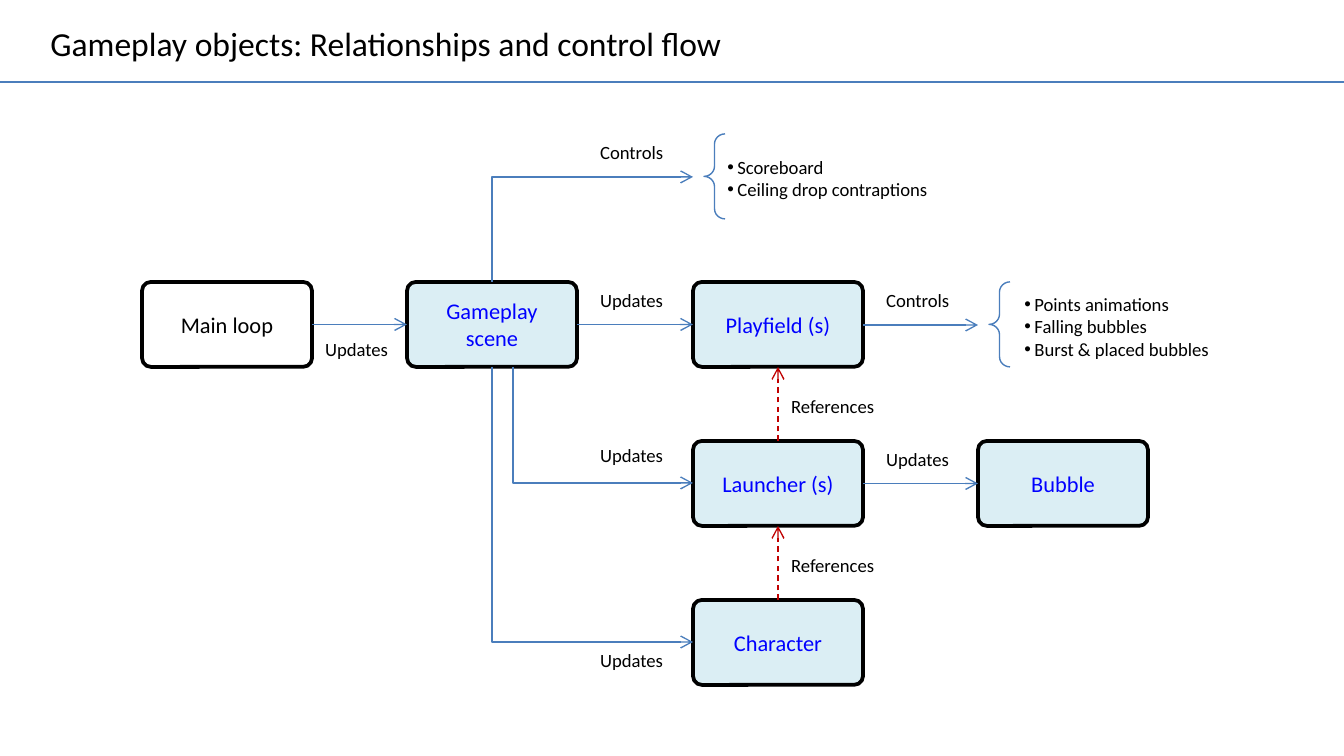
from lxml import etree
from pptx import Presentation
from pptx.dml.color import RGBColor
from pptx.enum.dml import MSO_LINE
from pptx.enum.shapes import MSO_CONNECTOR as Conn, MSO_SHAPE as Shape
from pptx.enum.text import MSO_ANCHOR as Anchor, MSO_AUTO_SIZE as Auto, PP_ALIGN as Align
from pptx.oxml.ns import qn
from pptx.util import Pt

PX = 914400 / 134.4
TOP, LEFT, BOTTOM, RIGHT = range(4)


def px(*values):
    return [round(v * PX) for v in values]


def rgb(value):
    return RGBColor.from_string(value)


class Diagram:
    font = "Calibri"
    ink, blue, red = "000000", "4B7EBC", "C00000"
    box_w, box_h = 170, 85

    def __init__(self, prs):
        self.s = prs.slides.add_slide(prs.slide_layouts[3])
        self.lists = list(self.s.placeholders)[1:]

    def style(self, tf, size, color=ink, align=Align.LEFT, anchor=Anchor.TOP):
        tf.vertical_anchor = anchor
        for p in tf.paragraphs:
            p.alignment = align
            for r in p.runs:
                r.font.name = self.font
                r.font.size = Pt(size)
                r.font.color.rgb = rgb(color)

    def place(self, sp, x, y, w, h):
        sp.left, sp.top, sp.width, sp.height = px(x, y, w, h)

    def title(self, text, *area):
        sp = self.s.shapes.title
        self.place(sp, *area)
        tf = sp.text_frame
        tf.text = text
        tf.auto_size = Auto.NONE
        self.style(tf, 18)

    def bullets(self, items, *area):
        sp = self.lists.pop(0)
        self.place(sp, *area)
        tf = sp.text_frame
        tf.text = "\n".join(items)
        tf.auto_size = Auto.NONE
        self.style(tf, 10)
        indent, = px(10)
        for p in tf.paragraphs:
            p.space_before = Pt(0)
            pPr = p._p.get_or_add_pPr()
            pPr.set("marL", str(indent))
            pPr.set("indent", str(-indent))

    def box(self, text, x, y, fill="DBEEF4", color="0000FF"):
        sp = self.s.shapes.add_shape(Shape.ROUNDED_RECTANGLE, *px(x, y, self.box_w, self.box_h))
        sp.adjustments[0] = 0.104
        sp.shadow.inherit = False
        sp.fill.solid()
        sp.fill.fore_color.rgb = rgb(fill)
        sp.line.color.rgb = rgb(self.ink)
        sp.line.width = Pt(2)
        sp.text_frame.word_wrap = True
        sp.text_frame.text = text
        self.style(sp.text_frame, 12, color, Align.CENTER, Anchor.MIDDLE)
        return sp

    def brace(self, x, y):
        sp = self.s.shapes.add_shape(Shape.LEFT_BRACE, *px(x, y, 21, self.box_h))
        sp.adjustments[0] = 0.48
        sp.shadow.inherit = False
        sp.fill.background()
        sp.line.color.rgb = rgb(self.blue)
        sp.line.width = Pt(0.75)

    def label(self, text, x, y, w=91):
        tf = self.s.shapes.add_textbox(*px(x, y, w, 36)).text_frame
        tf.word_wrap = False
        tf.auto_size = Auto.SHAPE_TO_FIT_TEXT
        tf.text = text
        self.style(tf, 10)

    def line(self, x1, y1, x2, y2, color=blue, kind=Conn.STRAIGHT, arrow=True):
        c = self.s.shapes.add_connector(kind, *px(x1, y1, x2, y2))
        c.line.color.rgb = rgb(color)
        c.line.width = Pt(0.75)
        spPr = c._element.spPr
        if arrow:
            etree.SubElement(c.line._get_or_add_ln(), qn("a:tailEnd"), type="arrow")
        etree.SubElement(spPr, qn("a:effectLst"))
        return c

    def elbow(self, *ends):
        c = self.line(*ends, kind=Conn.ELBOW)
        av = c._element.spPr.find(qn("a:prstGeom")).get_or_add_avLst()
        etree.SubElement(av, qn("a:gd"), name="adj1", fmla="val 0")

    def link(self, start, start_site, end, end_site, color=blue, dashed=False):
        c = self.line(0, 0, 1, 1, color)
        c.begin_connect(start, start_site)
        c.end_connect(end, end_site)
        if dashed:
            c.line.dash_style = MSO_LINE.DASH


prs = Presentation()
prs.slide_width, prs.slide_height = px(1344, 756)
d = Diagram(prs)

LOOP_X, SCENE_X, FIELD_X, BUBBLE_X = 142, 407, 693, 978
ROWS = [282 + 159 * i for i in range(3)]
MID = [y + 42 for y in ROWS]
BOARD_Y = 134

d.title("Gameplay objects: Relationships and control flow", 37, 16, 910, 54)
d.line(0, 82, 1344, 82, arrow=False)

loop = d.box("Main loop", LOOP_X, ROWS[0], "FFFFFF", d.ink)
scene = d.box("Gameplay scene", SCENE_X, ROWS[0])
playfield, launcher, character = [
    d.box(name, FIELD_X, y)
    for name, y in zip(("Playfield (s)", "Launcher (s)", "Character"), ROWS)]
bubble = d.box("Bubble", BUBBLE_X, ROWS[1])

for start, end in ((loop, scene), (scene, playfield), (launcher, bubble)):
    d.link(start, RIGHT, end, LEFT)
for start, end in ((launcher, playfield), (character, launcher)):
    d.link(start, TOP, end, BOTTOM, d.red, dashed=True)

scene_mid, scene_bottom = SCENE_X + 85, ROWS[0] + d.box_h
d.elbow(scene_mid, ROWS[0], FIELD_X, BOARD_Y + 43)
d.elbow(scene_mid + 21, scene_bottom, FIELD_X, MID[1])
d.elbow(scene_mid, scene_bottom, FIELD_X, MID[2])
d.line(FIELD_X + d.box_w, MID[0] + 1, BUBBLE_X, MID[0] + 1)

for x, y in ((312, 331), (587, 282), (587, 437), (587, 642), (873, 441)):
    d.label("Updates", x, y)
for x, y in ((587, BOARD_Y), (873, 282)):
    d.label("Controls", x, y)
for y in ROWS[1:]:
    d.label("References", 778, y - 53, 113)

d.brace(704, BOARD_Y)
d.bullets(["Scoreboard", "Ceiling drop contraptions"], 714, 149, 254, 59)
d.brace(989, ROWS[0])
d.bullets(["Points animations", "Falling bubbles", "Burst & placed bubbles"], 1011, 286, 222, 82)

prs.save("out.pptx")
